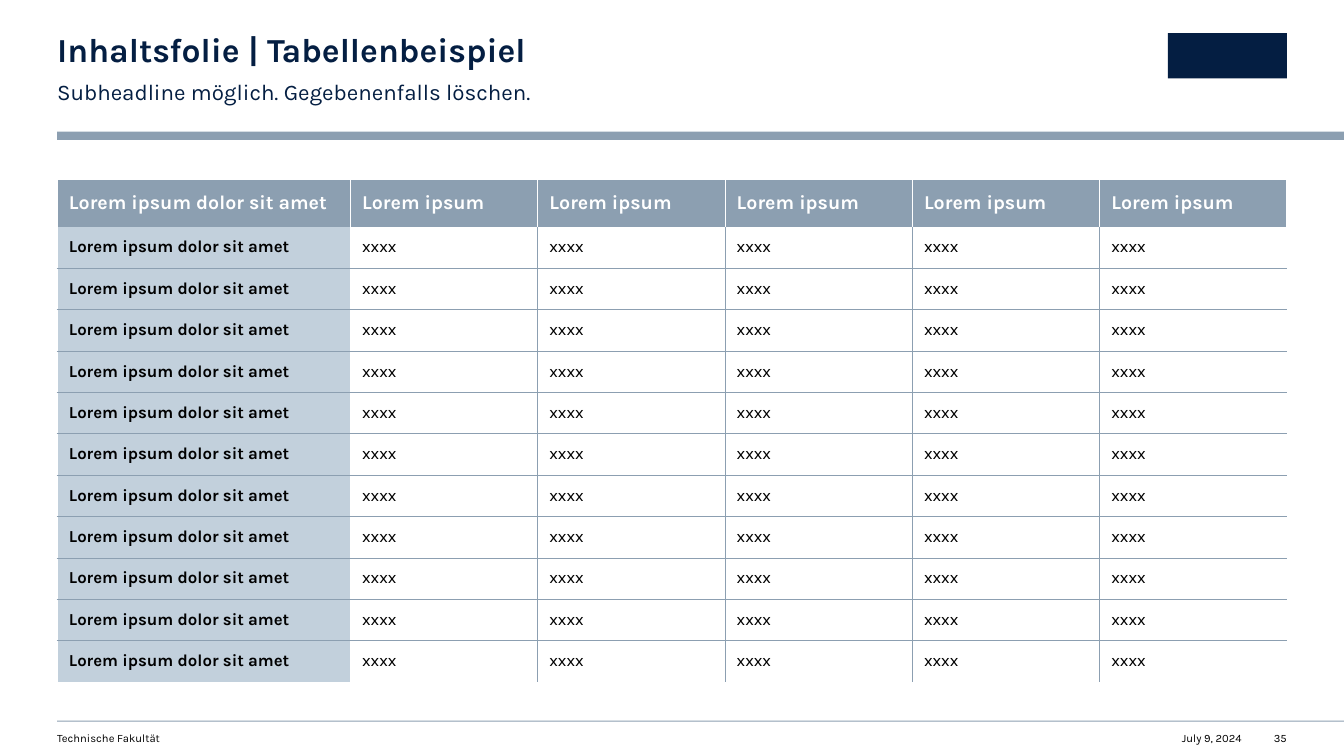
"""Build a slide with a headline, a comparison table and a footer."""
from dataclasses import dataclass
from typing import Optional

from lxml.etree import SubElement
from pptx import Presentation
from pptx.dml.color import RGBColor
from pptx.enum.shapes import MSO_SHAPE
from pptx.enum.text import MSO_ANCHOR, PP_ALIGN
from pptx.oxml.ns import qn
from pptx.slide import Slide
from pptx.table import _Cell
from pptx.text.text import _Paragraph
from pptx.util import Pt

NAVY = RGBColor(0x04, 0x1E, 0x42)
STEEL = RGBColor(0x8C, 0x9F, 0xB1)
MIST = RGBColor(0xC2, 0xD0, 0xDC)
WHITE = RGBColor(0xFF, 0xFF, 0xFF)
BLACK = RGBColor(0x00, 0x00, 0x00)

FONT = "Karla"
SLIDE_WIDTH, SLIDE_HEIGHT = 960, 540
MARGIN = 40.8
CONTENT_WIDTH = SLIDE_WIDTH - 2 * MARGIN
TABLE_TOP = 128.2
HEADER_HEIGHT, BODY_HEIGHT = 33.6, 29.58
LABEL_WIDTH = 209.4
VALUE_COLUMNS, BODY_ROWS = 5, 11
VALUE_WIDTH = (CONTENT_WIDTH - LABEL_WIDTH) / VALUE_COLUMNS
LABEL = "Lorem ipsum dolor sit amet"


@dataclass(frozen=True)
class TextStyle:
    size: float
    color: RGBColor
    bold: bool = False


@dataclass(frozen=True)
class Caption:
    text: str
    left: float
    top: float
    width: float
    height: float
    style: TextStyle
    align: PP_ALIGN = PP_ALIGN.LEFT
    line_spacing: float = 1.0


@dataclass(frozen=True)
class Block:
    left: float
    top: float
    width: float
    height: float
    color: RGBColor


@dataclass(frozen=True)
class Border:
    color: RGBColor
    width: float


HEADER_STYLE = TextStyle(14, WHITE, True)
LABEL_STYLE = TextStyle(12, BLACK, True)
VALUE_STYLE = TextStyle(12, BLACK)
FOOTER_STYLE = TextStyle(8, BLACK)
OUTER_BORDER = Border(WHITE, 1)
HEADER_BORDER = Border(WHITE, 0.5)
GRID_BORDER = Border(STEEL, 0.25)

BLOCKS = (
    Block(MARGIN, 94, SLIDE_WIDTH - MARGIN, 6, STEEL),
    Block(MARGIN, 514.8, SLIDE_WIDTH - MARGIN, 0.75, STEEL),
    Block(834.2, 23.6, 85, 32.4, NAVY),
)
CAPTIONS = (
    Caption("Inhaltsfolie | Tabellenbeispiel", MARGIN, 23.8, 539.3, 25.9,
            TextStyle(24, NAVY, True), line_spacing=0.9),
    Caption("Subheadline möglich. Gegebenenfalls löschen.", MARGIN, 54, 539.3, 19.4,
            TextStyle(16, NAVY), line_spacing=1.1),
    Caption("Technische Fakultät", MARGIN, 522.7, 430.6, 9.4, FOOTER_STYLE),
    Caption("July 9, 2024", 827, 522.7, 60, 9.4, FOOTER_STYLE, PP_ALIGN.RIGHT),
    Caption("35", 899.2, 522.7, 20, 9.4, FOOTER_STYLE, PP_ALIGN.RIGHT),
)


def style_paragraph(para: _Paragraph, style: TextStyle) -> None:
    for span in para.runs:
        span.font.name = FONT
        span.font.size = Pt(style.size)
        span.font.bold = style.bold
        span.font.color.rgb = style.color


def add_block(page: Slide, block: Block) -> None:
    shape = page.shapes.add_shape(MSO_SHAPE.RECTANGLE, Pt(block.left), Pt(block.top),
                                  Pt(block.width), Pt(block.height))
    shape.shadow.inherit = False
    shape.fill.solid()
    shape.fill.fore_color.rgb = block.color
    shape.line.fill.background()


def add_caption(page: Slide, caption: Caption) -> None:
    box = page.shapes.add_textbox(Pt(caption.left), Pt(caption.top),
                                  Pt(caption.width), Pt(caption.height))
    frame = box.text_frame
    frame.word_wrap = True
    frame.margin_left = frame.margin_right = frame.margin_top = frame.margin_bottom = Pt(0)
    frame.text = caption.text
    para = frame.paragraphs[0]
    para.alignment = caption.align
    para.line_spacing = caption.line_spacing
    style_paragraph(para, caption.style)


def set_border(cell: _Cell, side: str, border: Optional[Border]) -> None:
    properties = cell._tc.get_or_add_tcPr()
    line = SubElement(properties, qn(f"a:ln{side}"))
    if border is None:
        line.set("w", "0")
        SubElement(line, qn("a:noFill"))
        return
    line.set("w", str(Pt(border.width)))
    fill = SubElement(line, qn("a:solidFill"))
    SubElement(fill, qn("a:srgbClr")).set("val", str(border.color))


def vertical_border(row: int, edge: int) -> Border:
    if edge in (0, VALUE_COLUMNS + 1) or (row > 0 and edge == 1):
        return OUTER_BORDER
    return HEADER_BORDER if row == 0 else GRID_BORDER


def horizontal_border(edge: int) -> Optional[Border]:
    if edge == 0:
        return OUTER_BORDER
    return GRID_BORDER if 1 < edge <= BODY_ROWS else None


def fill_cell(cell: _Cell, row: int, column: int) -> None:
    set_border(cell, "L", vertical_border(row, column))
    set_border(cell, "R", vertical_border(row, column + 1))
    set_border(cell, "T", horizontal_border(row))
    set_border(cell, "B", horizontal_border(row + 1))
    if row == 0:
        text, style, color = (LABEL if column == 0 else "Lorem ipsum"), HEADER_STYLE, STEEL
    elif column == 0:
        text, style, color = LABEL, LABEL_STYLE, MIST
    else:
        text, style, color = "xxxx", VALUE_STYLE, None
    if color is None:
        cell.fill.background()
    else:
        cell.fill.solid()
        cell.fill.fore_color.rgb = color
    cell.vertical_anchor = MSO_ANCHOR.MIDDLE
    cell.margin_left = cell.margin_right = Pt(8.5)
    cell.margin_top = cell.margin_bottom = Pt(2.83)
    cell.text_frame.text = text
    style_paragraph(cell.text_frame.paragraphs[0], style)


def add_comparison_table(page: Slide) -> None:
    height = HEADER_HEIGHT + BODY_ROWS * BODY_HEIGHT
    table = page.shapes.add_table(BODY_ROWS + 1, VALUE_COLUMNS + 1, Pt(MARGIN), Pt(TABLE_TOP),
                                  Pt(CONTENT_WIDTH), Pt(height)).table
    table.horz_banding = False
    for index, column in enumerate(table.columns):
        column.width = Pt(LABEL_WIDTH if index == 0 else VALUE_WIDTH)
    for row_index, row in enumerate(table.rows):
        row.height = Pt(HEADER_HEIGHT if row_index == 0 else BODY_HEIGHT)
        for column_index, cell in enumerate(row.cells):
            fill_cell(cell, row_index, column_index)


def main() -> None:
    deck = Presentation()
    deck.slide_width, deck.slide_height = Pt(SLIDE_WIDTH), Pt(SLIDE_HEIGHT)
    page = deck.slides.add_slide(deck.slide_layouts[6])
    for block in BLOCKS:
        add_block(page, block)
    add_comparison_table(page)
    for caption in CAPTIONS:
        add_caption(page, caption)
    deck.save("out.pptx")


if __name__ == "__main__":
    main()
